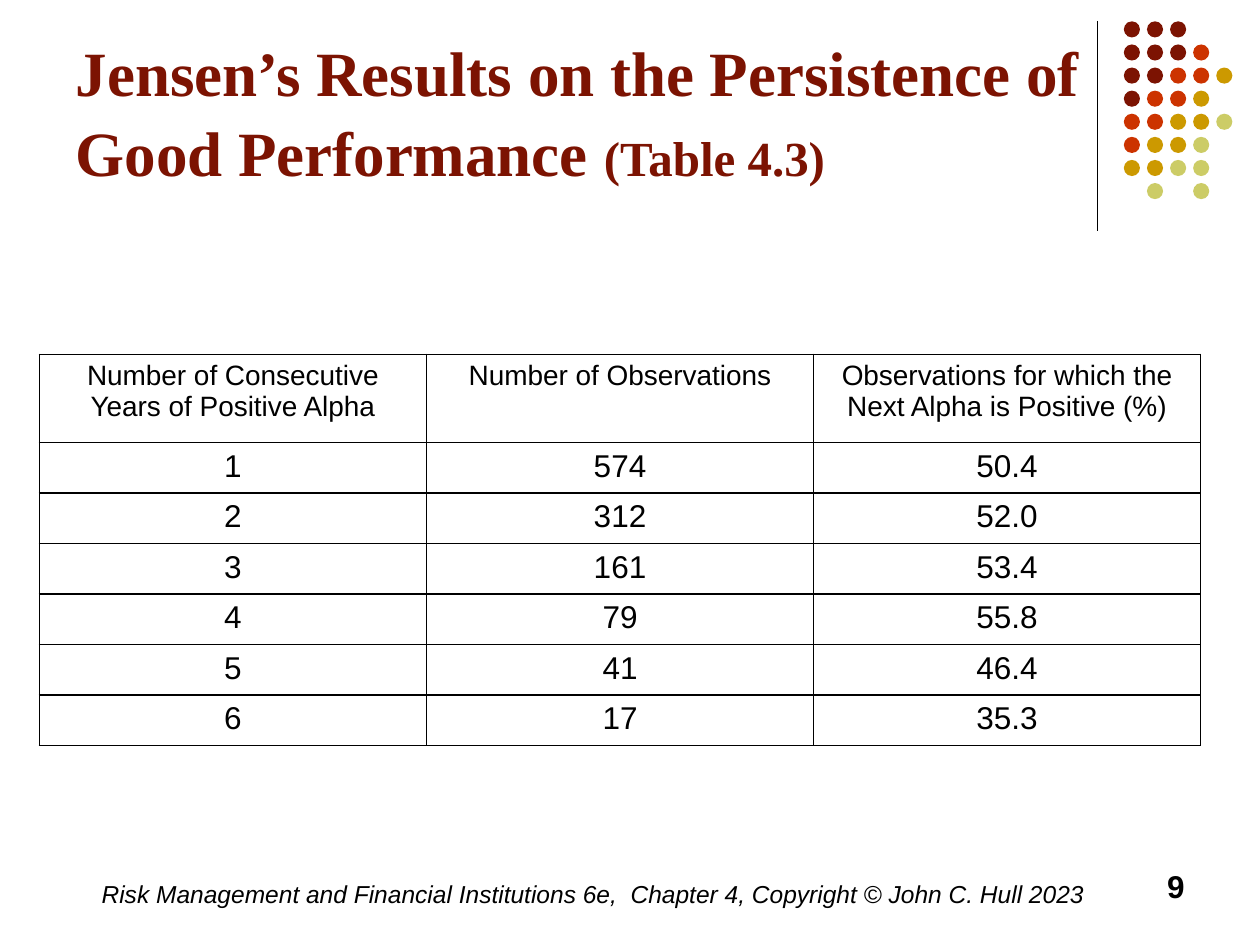
from lxml import etree
from pptx import Presentation
from pptx.dml.color import RGBColor
from pptx.enum import shapes, text
from pptx.oxml.ns import qn
from pptx.util import Pt

BLACK = RGBColor(0x00, 0x00, 0x00)
MAROON = RGBColor(0x7C, 0x13, 0x02)
RED = RGBColor(0xCC, 0x33, 0x00)
GOLD = RGBColor(0xCC, 0x99, 0x00)
OLIVE = RGBColor(0xCC, 0xCC, 0x66)


def add_run(p, words, size, font="Arial", color=BLACK, bold=False, italic=False):
    r = p.add_run()
    r.text = words
    f = r.font
    f.name, f.size, f.bold, f.italic = font, Pt(size), bold, italic
    f.color.rgb = color


def set_borders(cell):
    tcPr = cell._tc.get_or_add_tcPr()
    for i, side in enumerate(("lnL", "lnR", "lnT", "lnB")):
        ln = etree.Element(qn(f"a:{side}"), w=str(Pt(1)))
        fill = etree.SubElement(ln, qn("a:solidFill"))
        etree.SubElement(fill, qn("a:srgbClr"), val=str(BLACK))
        tcPr.insert(i, ln)


prs = Presentation()
prs.slide_width, prs.slide_height = Pt(720), Pt(540)
s = prs.slides.add_slide(prs.slide_layouts[5])

rule = s.shapes.add_connector(
    shapes.MSO_CONNECTOR.STRAIGHT, Pt(627), Pt(12), Pt(627), Pt(132))
rule.line.color.rgb = BLACK
rule.line.width = Pt(0.75)
etree.SubElement(rule._element.spPr, qn("a:effectLst"))

colors = {"M": MAROON, "R": RED, "G": GOLD, "O": OLIVE}
dots = ["MMM", "MMMR", "MMRRG", "MRRG", "RRGGO", "RGGO", "GGOO", " O O"]
for j, row in enumerate(dots):
    for i, key in enumerate(row):
        if key in colors:
            sp = s.shapes.add_shape(
                shapes.MSO_SHAPE.OVAL, Pt(642.2 + 13.2 * i),
                Pt(12.2 + 13.2 * j), Pt(9.2), Pt(9.2))
            sp.shadow.inherit = False
            sp.fill.solid()
            sp.fill.fore_color.rgb = colors[key]
            sp.line.fill.background()

title = s.shapes.title
title.left, title.top, title.width, title.height = Pt(36), Pt(9.4), Pt(594), Pt(102)
tf = title.text_frame
tf.auto_size = text.MSO_AUTO_SIZE.NONE
tf.word_wrap = True
tf.vertical_anchor = text.MSO_ANCHOR.BOTTOM
p = tf.paragraphs[0]
p.alignment = text.PP_ALIGN.LEFT
p.line_spacing = 1.05
add_run(p, "Jensen’s Results on the Persistence of Good Performance ", 36,
        "Times New Roman", MAROON, bold=True)
add_run(p, "(Table 4.3)", 28, "Times New Roman", MAROON, bold=True)

footer = "Risk Management and Financial Institutions 6e,  Chapter 4, Copyright © John C. Hull 2023"
for words, x, y, w, size, align, bold in [
    (footer, 51, 499, 607, 14, text.PP_ALIGN.LEFT, False),
    ("9", 516, 492, 168, 18, text.PP_ALIGN.RIGHT, True),
]:
    tf = s.shapes.add_textbox(Pt(x), Pt(y), Pt(w), Pt(36)).text_frame
    tf.word_wrap = True
    p = tf.paragraphs[0]
    p.alignment = align
    add_run(p, words, size, bold=bold, italic=not bold)

rows = [
    ("Number of Consecutive Years of Positive Alpha", "Number of Observations",
     "Observations for which the Next Alpha is Positive (%)"),
    ("1", "574", "50.4"),
    ("2", "312", "52.0"),
    ("3", "161", "53.4"),
    ("4", "79", "55.8"),
    ("5", "41", "46.4"),
    ("6", "17", "35.3"),
]
table = s.shapes.add_table(
    len(rows), 3, Pt(22.5), Pt(202.5), Pt(663.6), Pt(223.2)).table
for col in table.columns:
    col.width = Pt(221.2)
for j, row in enumerate(rows):
    table.rows[j].height = Pt(28.8 if j else 50.4)
    for i, words in enumerate(row):
        cell = table.cell(j, i)
        cell.fill.background()
        set_borders(cell)
        p = cell.text_frame.paragraphs[0]
        p.alignment = text.PP_ALIGN.CENTER
        add_run(p, words, 18 if j else 16)

prs.save("out.pptx")
